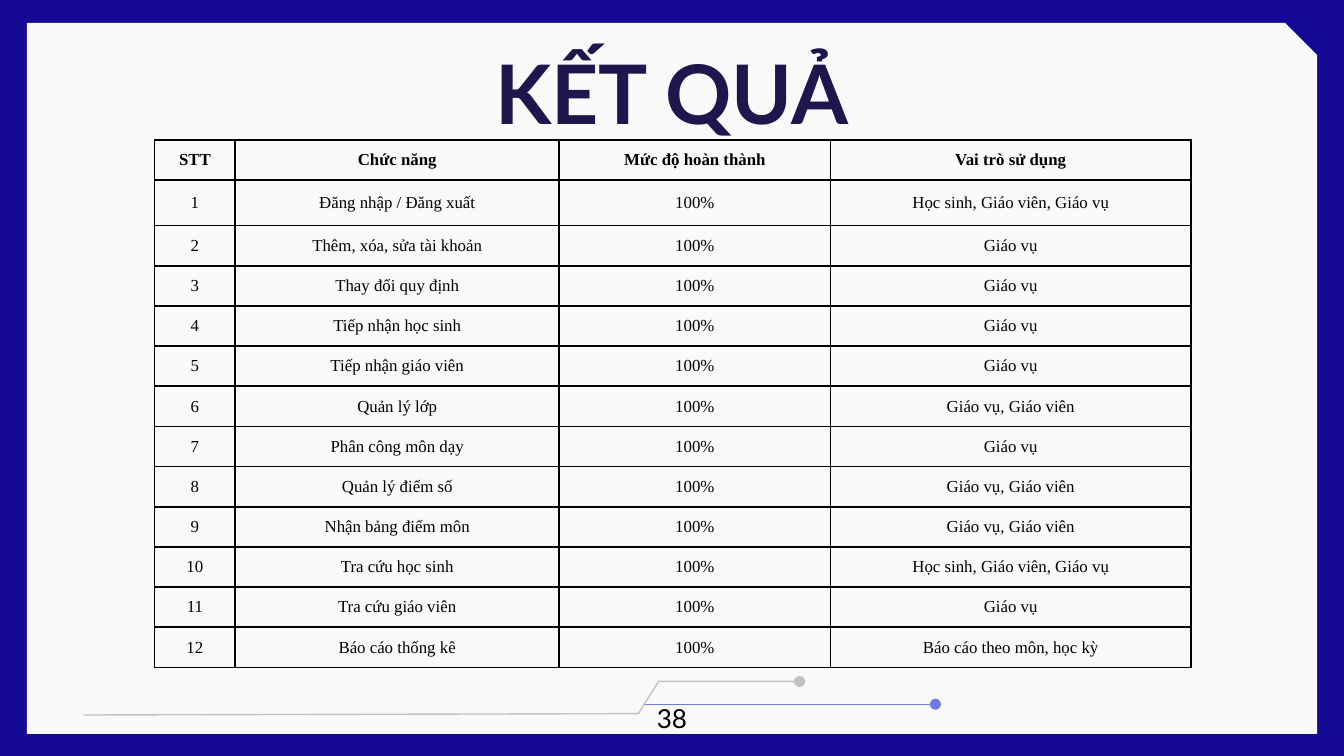
from lxml import etree
from pptx import Presentation
from pptx import util as u
from pptx.dml.color import RGBColor
from pptx.enum import shapes, text
from pptx.oxml import ns

NAVY = RGBColor(0x13, 0x09, 0x94)
PAPER = RGBColor(0xF9, 0xF9, 0xF9)
INK = RGBColor(0x1F, 0x16, 0x4D)
BLACK = RGBColor(0, 0, 0)
BLUE = RGBColor(0x6F, 0x79, 0xE3)
GREY = RGBColor(0xC1, 0xC1, 0xC1)

# A 16:9 slide
deck = Presentation()
deck.slide_width = u.Inches(10)
deck.slide_height = deck.slide_width * 9 // 16
slide = deck.slides.add_slide(deck.slide_layouts[6])
parts = slide.shapes


def trace(shape, color, end):
    """Style a thin line with a round dot at one end."""
    shape.line.color.rgb = color
    shape.line.width = u.Pt(0.75)
    edge = shape._element.spPr.find(ns.qn("a:ln"))
    etree.SubElement(edge, ns.qn("a:" + end), type="oval")


def label(box, words, size, color, bold=False):
    """Put one centred line into a new text box."""
    frame = parts.add_textbox(*map(u.Inches, box)).text_frame
    frame.word_wrap = True
    para = frame.paragraphs[0]
    para.text = words
    para.alignment = text.PP_ALIGN.CENTER
    para.font.name, para.font.size = "Lato", u.Pt(size)
    para.font.color.rgb, para.font.bold = color, bold
    return para


# Frame and paper
slide.background.fill.solid()
slide.background.fill.fore_color.rgb = NAVY
paper = parts.add_shape(shapes.MSO_SHAPE.SNIP_1_RECTANGLE,
                        *map(u.Inches, (0.2, 0.17, 9.6, 5.29)))
paper.adjustments[0] = 0.045
paper.shadow.inherit = False
paper.fill.solid()
paper.fill.fore_color.rgb = PAPER
paper.line.fill.background()

# Circuit lines at the foot
wire = parts.add_connector(shapes.MSO_CONNECTOR.STRAIGHT,
                           *map(u.Inches, (6.96, 5.24, 4.8, 5.24)))
trace(wire, BLUE, "headEnd")
etree.SubElement(wire._element.spPr, ns.qn("a:effectLst"))

bend = [(4.75, 5.31), (4.9, 5.07), (5.95, 5.07)]
pen = parts.build_freeform(u.Inches(0.62), u.Inches(5.32))
pen.add_line_segments([(u.Inches(x), u.Inches(y)) for x, y in bend], close=False)
track = pen.convert_to_shape()
track.shadow.inherit = False
track.fill.background()
trace(track, GREY, "tailEnd")

# Title
title = label((0, 0.16, 10, 0.88), "KẾT QUẢ", 44, INK, True)
title.line_spacing = 1.15

# Table of results
STAFF = "Giáo vụ"
BOTH = "Giáo vụ, Giáo viên"
ALL = "Học sinh, Giáo viên, Giáo vụ"
tasks = [
    ("Đăng nhập / Đăng xuất", ALL),
    ("Thêm, xóa, sửa tài khoản", STAFF),
    ("Thay đổi quy định", STAFF),
    ("Tiếp nhận học sinh", STAFF),
    ("Tiếp nhận giáo viên", STAFF),
    ("Quản lý lớp", BOTH),
    ("Phân công môn dạy", STAFF),
    ("Quản lý điểm số", BOTH),
    ("Nhận bảng điểm môn", BOTH),
    ("Tra cứu học sinh", ALL),
    ("Tra cứu giáo viên", STAFF),
    ("Báo cáo thống kê", "Báo cáo theo môn, học kỳ"),
]
rows = [("STT", "Chức năng", "Mức độ hoàn thành", "Vai trò sử dụng")]
rows += [(str(n), task, "100%", role) for n, (task, role) in enumerate(tasks, 1)]
wide = (0.6, 2.41, 2.02, 2.68)
high, tall = 3.93, 0.34
short = (high - tall) / (len(rows) - 1)

grid = parts.add_table(len(rows), len(wide),
                       *map(u.Inches, (1.15, 1.04, sum(wide), high))).table
for col, width in zip(grid.columns, wide):
    col.width = u.Inches(width)
for r, row in enumerate(rows):
    grid.rows[r].height = u.Inches(tall if r == 1 else short)
    for c, words in enumerate(row):
        cell = grid.cell(r, c)
        cell.vertical_anchor = text.MSO_ANCHOR.MIDDLE
        cell.margin_left = cell.margin_right = u.Inches(0.05)
        cell.margin_top = cell.margin_bottom = u.Inches(0.05)
        para = cell.text_frame.paragraphs[0]
        para.text = words
        para.alignment = text.PP_ALIGN.CENTER
        para.font.name, para.font.size = "Times New Roman", u.Pt(9)
        para.font.color.rgb, para.font.bold = BLACK, r == 0
        # Borders come before the fill in the cell's XML
        props = cell._tc.get_or_add_tcPr()
        for side in ("lnL", "lnR", "lnT", "lnB"):
            edge = etree.SubElement(props, ns.qn("a:" + side), w=str(u.Pt(1)))
            paint = etree.SubElement(edge, ns.qn("a:solidFill"))
            etree.SubElement(paint, ns.qn("a:srgbClr"), val=str(BLACK))
        cell.fill.background()

# Slide number
label((3.5, 5.18, 3, 0.4), "38", 14, BLACK)

deck.save("out.pptx")
